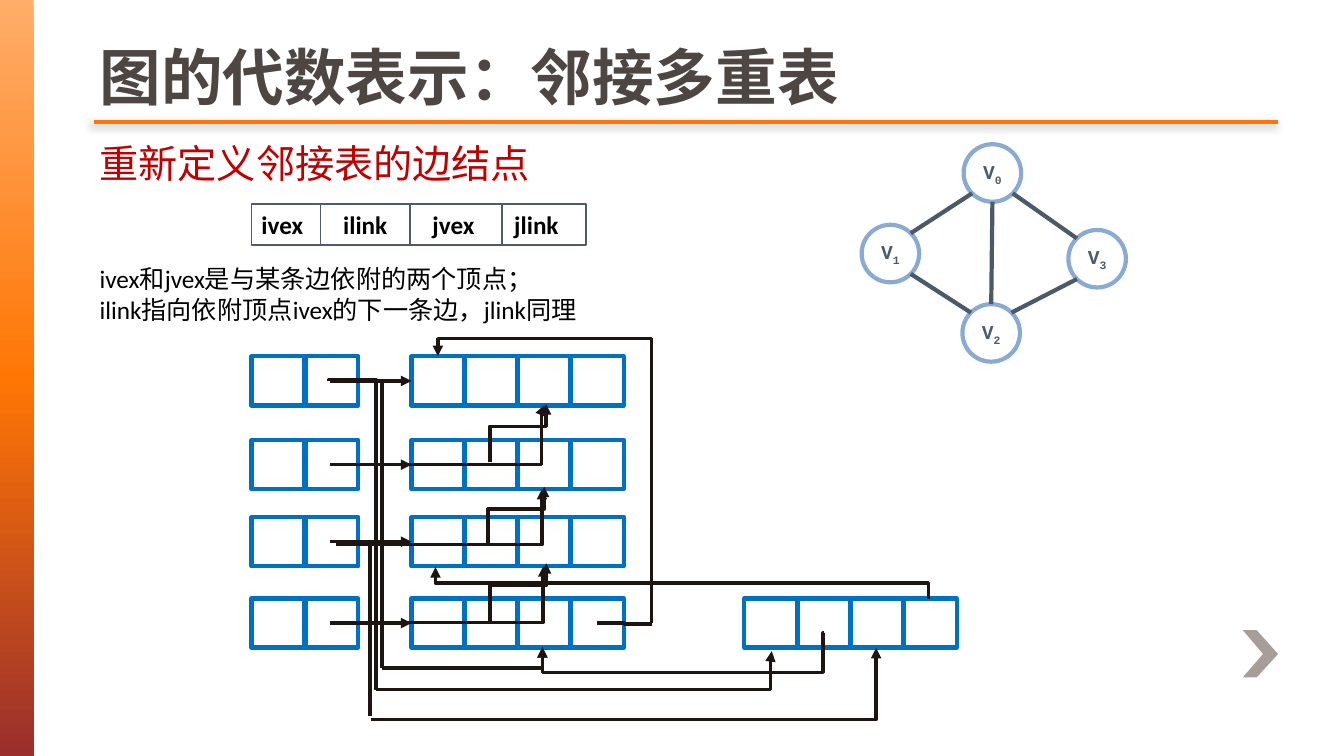
import copy
import math
import pptx
import pptx.util
import pptx.dml.color
import pptx.enum.shapes
import pptx.enum.text
import pptx.oxml.ns
from lxml import etree

Cm = pptx.util.Cm
Pt = pptx.util.Pt
RGBColor = pptx.dml.color.RGBColor
Shape = pptx.enum.shapes.MSO_SHAPE
Link = pptx.enum.shapes.MSO_CONNECTOR
Anchor = pptx.enum.text.MSO_ANCHOR
Align = pptx.enum.text.PP_ALIGN
qn = pptx.oxml.ns.qn

WHITE = RGBColor(0xFF, 0xFF, 0xFF)
BLACK = RGBColor(0x00, 0x00, 0x00)
PEACH = RGBColor(0xFF, 0xAD, 0x69)
ORANGE = RGBColor(0xFF, 0x76, 0x05)
BRICK = RGBColor(0x9A, 0x2F, 0x2C)
TAUPE = RGBColor(0xA7, 0x9D, 0x99)
BROWN = RGBColor(0x4D, 0x46, 0x43)
RED = RGBColor(0xC0, 0x00, 0x00)
SLATE = RGBColor(0x4D, 0x5B, 0x6B)
STEEL = RGBColor(0x4B, 0x59, 0x69)
SKY = RGBColor(0x89, 0xAA, 0xD3)
BLUE = RGBColor(0x00, 0x70, 0xC0)
INK = RGBColor(0x1C, 0x15, 0x11)

HAN = "Noto Sans CJK SC"


def write(para, text, size=18, font="Calibri", color=BLACK, bold=False, drop=0):
    run = para.add_run()
    run.text = text
    run.font.size = Pt(size)
    run.font.bold = bold
    run.font.color.rgb = color
    run.font.name = font
    props = run.font._element
    etree.SubElement(props, qn("a:ea"), typeface=HAN)
    if drop:
        props.set("baseline", str(-1000 * drop))


class Board:
    def __init__(self, slide):
        self.shapes = slide.shapes

    def paint(self, shape, fill=None, line=None, width=1.0):
        shape.shadow.inherit = False
        if fill is None:
            shape.fill.background()
        else:
            shape.fill.solid()
            shape.fill.fore_color.rgb = fill
        if line is None:
            shape.line.fill.background()
        else:
            shape.line.color.rgb = line
            shape.line.width = Pt(width)
        return shape

    def block(self, kind, x, y, w, h, **style):
        shape = self.shapes.add_shape(kind, Cm(x), Cm(y), Cm(w), Cm(h))
        return self.paint(shape, **style)

    def band(self, x, y, w, h, colors):
        shape = self.block(Shape.RECTANGLE, x, y, w, h)
        shape.fill.gradient()
        shape.fill.gradient_angle = 270
        stops = shape.element.spPr.find(".//" + qn("a:gsLst"))
        stops.insert(1, copy.deepcopy(stops[0]))
        for i, (stop, color) in enumerate(zip(shape.fill.gradient_stops, colors)):
            stop.color.rgb = color
            stop.position = i / 2

    def outline(self, points, fill):
        ends = [(Cm(x), Cm(y)) for x, y in points]
        path = self.shapes.build_freeform(*ends[0])
        path.add_line_segments(ends[1:], close=True)
        self.paint(path.convert_to_shape(), fill=fill)

    def line(self, x1, y1, x2, y2, color=INK, width=2.5, arrow=False, kind=Link.STRAIGHT):
        wire = self.shapes.add_connector(kind, Cm(x1), Cm(y1), Cm(x2), Cm(y2))
        wire.line.color.rgb = color
        wire.line.width = Pt(width)
        props = wire.element.spPr
        if arrow:
            etree.SubElement(props.find(qn("a:ln")), qn("a:tailEnd"), type="triangle")
        etree.SubElement(props, qn("a:effectLst"))
        return wire

    def shade(self, wire):
        effect = wire.element.spPr.find(qn("a:effectLst"))
        cast = etree.SubElement(effect, qn("a:outerShdw"), blurRad=str(Pt(5)),
                                dist=str(Pt(3)), dir="8100000", rotWithShape="0")
        color = etree.SubElement(cast, qn("a:srgbClr"), val=str(BLACK))
        etree.SubElement(color, qn("a:alpha"), val="45000")

    def elbow(self, x, y, w, h, bends=3, turn=0, flip="v", adjust=(), arrow=True):
        wire = self.line(x, y, x + w, y + h, arrow=arrow, kind=Link.ELBOW)
        frame = wire.element.spPr.find(qn("a:xfrm"))
        frame.set("rot", str(turn * 60000))
        for axis in flip:
            frame.set("flip" + axis.upper(), "1")
        shape = wire.element.spPr.find(qn("a:prstGeom"))
        shape.set("prst", f"bentConnector{bends}")
        guides = shape.find(qn("a:avLst"))
        for i, share in enumerate(adjust, 1):
            etree.SubElement(guides, qn("a:gd"), name=f"adj{i}", fmla=f"val {round(share * 1000)}")

    def text(self, x, y, w, h, lines, anchor=Anchor.TOP, pitch=0.9, **style):
        frame = self.shapes.add_textbox(Cm(x), Cm(y), Cm(w), Cm(h)).text_frame
        frame.word_wrap = True
        frame.vertical_anchor = anchor
        for i, words in enumerate(lines):
            para = frame.add_paragraph() if i else frame.paragraphs[0]
            para.line_spacing = pitch
            para.space_before = Pt(2.3 if i else 0)
            write(para, words, **style)

    def record(self, x, y, w, h, words, tabs, rules):
        box = self.block(Shape.RECTANGLE, x, y, w, h, fill=WHITE, line=SLATE, width=1.25)
        box.text_frame.vertical_anchor = Anchor.MIDDLE
        para = box.text_frame.paragraphs[0]
        para.alignment = Align.LEFT
        stops = etree.SubElement(para._p.get_or_add_pPr(), qn("a:tabLst"))
        for tab in tabs:
            etree.SubElement(stops, qn("a:tab"), pos=str(Cm(tab)), algn="l")
        write(para, "\t".join(words), bold=True)
        for rule in rules:
            self.line(rule, y, rule, y + h, color=SLATE, width=1.25)

    def node(self, x, y, size, index):
        ball = self.block(Shape.OVAL, x - size / 2, y - size / 2, size, size,
                          fill=WHITE, line=SKY, width=3)
        frame = ball.text_frame
        frame.word_wrap = False
        frame.vertical_anchor = Anchor.MIDDLE
        frame.margin_left = frame.margin_right = 0
        para = frame.paragraphs[0]
        para.alignment = Align.CENTER
        for words, drop in (("V", 0), (str(index), 25)):
            write(para, words, size=14, font="Courier New", color=SLATE, bold=True, drop=drop)

    def edge(self, start, end, size):
        step = math.pi / 4
        angle = round(math.atan2(end[1] - start[1], end[0] - start[0]) / step) * step
        dx, dy = size / 2 * math.cos(angle), size / 2 * math.sin(angle)
        self.line(start[0] + dx, start[1] + dy, end[0] - dx, end[1] - dy, color=STEEL, width=3)

    def cells(self, x, y, count, step):
        for i in range(count):
            self.block(Shape.RECTANGLE, x + i * step, y, 1.33, 1.24, line=BLUE, width=3)


def main():
    deck = pptx.Presentation()
    deck.slide_width, deck.slide_height = Cm(33.87), Cm(19.05)
    board = Board(deck.slides.add_slide(deck.slide_layouts[6]))

    board.band(0, 0, 0.85, 19.05, (PEACH, ORANGE, BRICK))
    board.outline([(31.67, 15.88), (31.32, 15.88), (31.83, 16.48),
                   (31.32, 17.07), (31.67, 17.07), (32.21, 16.48)], TAUPE)
    board.shade(board.line(2.36, 3.07, 32.21, 3.07, color=ORANGE))
    board.text(2.26, 0, 29.85, 2.97, ["图的代数表示：邻接多重表"], anchor=Anchor.BOTTOM,
               pitch=1.0, size=44, font=HAN, color=BROWN, bold=True)
    board.text(2.26, 3.53, 18, 1.5, ["重新定义邻接表的边结点"], size=28, color=RED)
    board.text(2.26, 6.6, 18, 2, ["ivex和jvex是与某条边依附的两个顶点；",
                                  "ilink指向依附顶点ivex的下一条边，jlink同理"])
    board.record(6.34, 5.15, 8.43, 1.02, ("ivex", "ilink", "jvex", "jlink"),
                 (2.06, 4.31, 6.37), (8.08, 10.34, 12.65))

    size = 1.45
    nodes = [(25.01, 4.36), (22.44, 6.39), (24.98, 8.39), (27.65, 6.52)]
    for i, (x, y) in enumerate(nodes):
        board.node(x, y, size, i)
    for a, b in ((0, 2), (0, 1), (0, 3), (2, 1), (3, 2)):
        board.edge(nodes[a], nodes[b], size)

    rows = (8.98, 11.09, 13.03, 15.08)
    for y in rows:
        board.cells(6.34, y, 2, 1.36)
        board.cells(10.37, y, 4, 1.34)
        board.line(8.31, y + 0.62, 10.37, y + 0.62, arrow=True)
    board.cells(18.76, rows[-1], 4, 1.34)

    board.elbow(8.48, 14.27, 5.21, 1.42, bends=2)
    board.elbow(8.48, 12.32, 5.18, 1.4, bends=2)
    board.elbow(8.56, 10.21, 5.16, 1.5, adjust=(98.5,))
    board.elbow(15.04, 15.7, 1.4, 0.03, flip="", adjust=(50,), arrow=False)
    board.elbow(10.36, 9.65, 6.73, 5.38, turn=270, adjust=(106.5,))
    for x, y in ((12.27, 12.29), (12.32, 10.21), (12.32, 14.22)):
        board.elbow(x, y, 1.47, 1.42, turn=90, flip="hv", adjust=(62,))
    for x, y, w, h, share in ((5.44, 12.65, 7.26, 1.12, 0.1),
                              (5, 12.9, 7.77, 1.19, -0.6),
                              (6.76, 15.49, 4.34, 0.79, -0.6)):
        board.elbow(x, y, w, h, turn=270, flip="h", adjust=(share,), arrow=False)
    board.elbow(9.63, 16.31, 4.04, 0.53, bends=2)
    board.elbow(13.67, 15.95, 7.09, 0.36, bends=4, turn=180, adjust=(0.2, 275.4))
    board.elbow(9.47, 16.41, 9.98, 0.97, adjust=(99.7,))
    board.elbow(16.79, 8.48, 0.79, 12.42, turn=270, adjust=(50,))
    board.elbow(9.35, 16.33, 12.73, 1.8, bends=2)
    deck.save("out.pptx")


if __name__ == "__main__":
    main()
